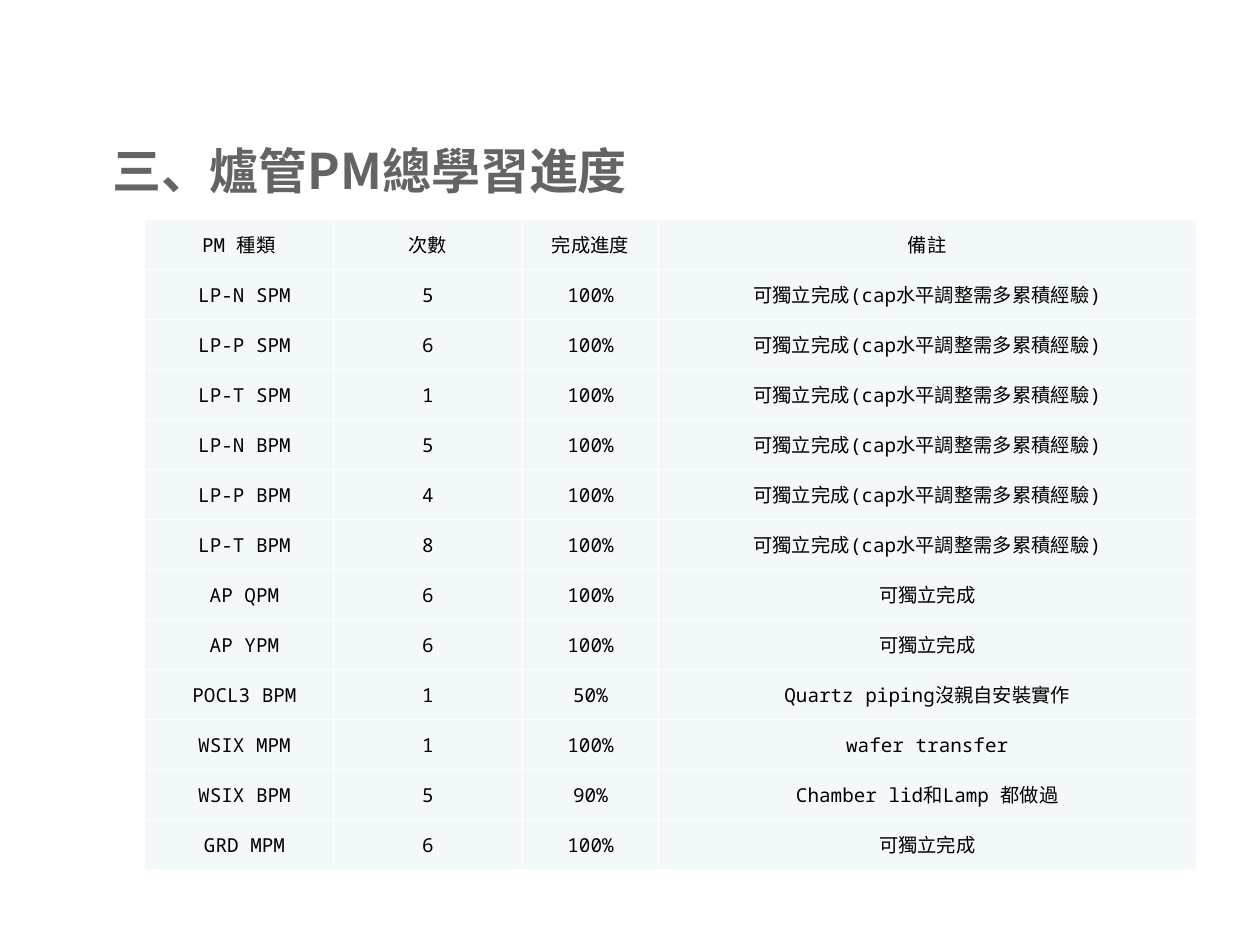
from lxml.etree import SubElement
from pptx import Presentation
from pptx.dml.color import RGBColor
from pptx.enum.text import MSO_ANCHOR, PP_ALIGN
from pptx.oxml.ns import qn
from pptx.util import Pt

GREY = RGBColor(0x64, 0x64, 0x64)
BLACK = RGBColor(0x00, 0x00, 0x00)
WHITE = RGBColor(0xFF, 0xFF, 0xFF)
PALE_BLUE = RGBColor(0xF3, 0xF9, 0xFA)

SANS = "Noto Sans CJK SC"
MONO = "Noto Sans Mono"

COLUMN_WIDTHS = (108.3, 108, 77.8, 307.1)
ROW_HEIGHT = 28.58
DONE = "可獨立完成"
DONE_CAP = "可獨立完成(cap水平調整需多累積經驗)"
PROGRESS = (
    ("PM 種類", "次數", "完成進度", "備註"),
    (" LP-N SPM", "5", "100%", DONE_CAP),
    (" LP-P SPM", "6", "100%", DONE_CAP),
    (" LP-T SPM", "1", "100%", DONE_CAP),
    (" LP-N BPM", "5", "100%", DONE_CAP),
    (" LP-P BPM", "4", "100%", DONE_CAP),
    (" LP-T BPM", "8", "100%", DONE_CAP),
    (" AP QPM", "6", "100%", DONE),
    (" AP YPM", "6", "100%", DONE),
    (" POCL3 BPM", "1", "50%", "Quartz piping沒親自安裝實作"),
    (" WSIX MPM", "1", "100%", "wafer transfer"),
    (" WSIX BPM", "5", "90%", "Chamber lid和Lamp 都做過"),
    (" GRD MPM", "6", "100%", DONE),
)


def write_text(frame, text, *, size, font, color, bold=False, align=PP_ALIGN.LEFT):
    paragraph = frame.paragraphs[0]
    paragraph.alignment = align
    run = paragraph.add_run()
    run.text = text
    run.font.size = Pt(size)
    run.font.bold = bold
    run.font.color.rgb = color
    run.font.name = font
    # Chinese characters take their typeface from a:ea
    SubElement(run.font._element, qn("a:ea"), typeface=font)


def add_title(slide, text):
    title = slide.shapes.title
    title.left, title.top = Pt(56.9), Pt(71.3)
    title.width, title.height = Pt(614.9), Pt(51.1)
    title.text_frame.vertical_anchor = MSO_ANCHOR.MIDDLE
    write_text(title.text_frame, text, size=28, font=SANS, color=GREY, bold=True)


def add_borders(cell, color, width):
    properties = cell._tc.get_or_add_tcPr()
    for side in ("lnL", "lnR", "lnT", "lnB"):
        border = SubElement(properties, qn(f"a:{side}"), w=str(Pt(width)))
        fill = SubElement(border, qn("a:solidFill"))
        SubElement(fill, qn("a:srgbClr"), val=str(color))


def format_cell(cell, text):
    cell.margin_left = cell.margin_right = Pt(0.7)
    cell.margin_top = cell.margin_bottom = Pt(3.6)
    cell.vertical_anchor = MSO_ANCHOR.MIDDLE
    add_borders(cell, WHITE, 0.45)
    cell.fill.solid()
    cell.fill.fore_color.rgb = PALE_BLUE
    write_text(cell.text_frame, text, size=11, font=MONO, color=BLACK,
               align=PP_ALIGN.CENTER)


def add_progress_table(slide):
    table = slide.shapes.add_table(
        len(PROGRESS), len(COLUMN_WIDTHS), Pt(82.3), Pt(125.5),
        Pt(sum(COLUMN_WIDTHS)), Pt(ROW_HEIGHT * len(PROGRESS))).table
    table.first_row = table.horz_banding = False
    for column, width in zip(table.columns, COLUMN_WIDTHS):
        column.width = Pt(width)
    for row, entries in zip(table.rows, PROGRESS):
        row.height = Pt(ROW_HEIGHT)
        for cell, entry in zip(row.cells, entries):
            format_cell(cell, entry)


def main():
    presentation = Presentation()
    presentation.slide_width, presentation.slide_height = Pt(720), Pt(540)
    title_only = presentation.slide_layouts[5]
    slide = presentation.slides.add_slide(title_only)
    add_title(slide, "三、爐管PM總學習進度")
    add_progress_table(slide)
    presentation.save("out.pptx")


if __name__ == "__main__":
    main()
